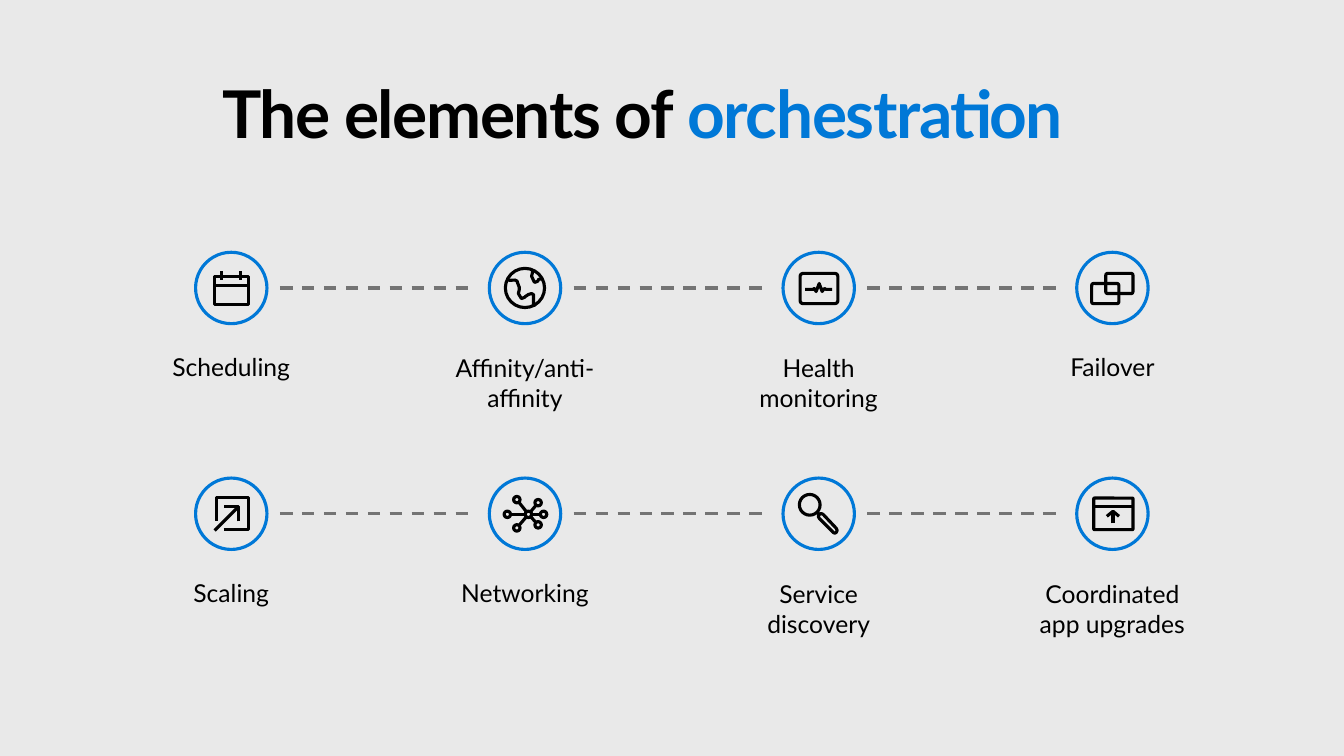
from dataclasses import dataclass
from math import hypot

from lxml.etree import SubElement
from pptx import Presentation
from pptx.dml.color import RGBColor
from pptx.enum.dml import MSO_LINE
from pptx.enum.shapes import MSO_CONNECTOR, MSO_SHAPE
from pptx.enum.text import MSO_ANCHOR, MSO_AUTO_SIZE, PP_ALIGN
from pptx.oxml.ns import qn
from pptx.util import Pt

BLACK = RGBColor(0x00, 0x00, 0x00)
BLUE = RGBColor(0x00, 0x78, 0xD7)
GREY = RGBColor(0x74, 0x74, 0x74)
PALE = RGBColor(0xE9, 0xE9, 0xE9)
FONT = "Lato"
LINE_WIDTH = 2.25
FIRST_X, COLUMN_PITCH = 165.2, 209.8
FIRST_Y, ROW_PITCH = 205.7, 161.3
DISC_SIZE = 51
LINK_GAP = 34.8
LABEL_DROP = 35

Point = tuple[float, float]


@dataclass(frozen=True)
class Outline:
    kind: MSO_SHAPE
    left: float
    top: float
    width: float
    height: float
    rounding: float = 0


@dataclass(frozen=True)
class Stroke:
    points: tuple[Point, ...]
    closed: bool = False


@dataclass(frozen=True)
class Element:
    label: str
    icon: tuple[Outline | Stroke, ...]
    label_width: float = 127.4
    label_lines: int = 1


def ring(x: float, y: float, radius: float) -> Outline:
    return Outline(MSO_SHAPE.OVAL, x - radius, y - radius, 2 * radius, 2 * radius)


def network_icon(radius: float = 2.3) -> tuple[Outline | Stroke, ...]:
    hub_x, hub_y = 2.5, 0.4
    nodes = ((13.3, 0.4), (-12.6, 0.4), (9.4, 7.9),
             (-5.8, 10.1), (9.4, -7.9), (-5.8, -10.1))
    marks = [ring(hub_x, hub_y, radius)]
    for x, y in nodes:
        reach = hypot(x - hub_x, y - hub_y)
        inset_x = (x - hub_x) * radius / reach
        inset_y = (y - hub_y) * radius / reach
        marks.append(ring(x, y, radius))
        marks.append(Stroke(((hub_x + inset_x, hub_y + inset_y),
                             (x - inset_x, y - inset_y))))
    return tuple(marks)


CALENDAR = (
    Outline(MSO_SHAPE.RECTANGLE, -12, -8.3, 24, 20.2),
    Stroke(((-6.8, -11.9), (-6.8, -5.4))),
    Stroke(((6.8, -11.9), (6.8, -5.4))),
    Stroke(((-12, -1.8), (12, -1.8))),
)
GLOBE = (
    ring(0, 0, 14),
    Stroke(((7.6, 12.6), (6.1, 11.9), (6.1, 7.6), (6.1, 4.7), (4.7, 4), (2.5, 4.7),
            (0.4, 6.1), (-0.4, 6.8), (-2.5, 7.6), (-4.7, 4), (-4, 1.1), (-4, -0.4),
            (-5.4, -4), (-5.4, -4.7), (-7, -5.6), (-11.2, -5.4), (-11.9, -6.1))),
    Stroke(((12.6, -6.8), (9.7, -6.1), (9, -4.7), (6.8, -4),
            (4.7, -8.3), (5.4, -11.2), (5.4, -12.6))),
)
MONITOR = (
    Outline(MSO_SHAPE.ROUNDED_RECTANGLE, -13.3, -10.4, 27, 21.6, 0.1),
    Stroke(((-9.7, 1), (-4, 1), (-3.2, 0.4), (-1.8, 2.5), (0.4, -3.2),
            (2.5, 2.5), (4, 0.4), (5.4, 1), (9.7, 1))),
)
WINDOWS = (
    Outline(MSO_SHAPE.ROUNDED_RECTANGLE, -4.7, -10.4, 19.4, 14.4, 0.09),
    Outline(MSO_SHAPE.ROUNDED_RECTANGLE, -14.8, -3.2, 19.4, 14.4, 0.09),
)
SCALE_ARROW = (
    Stroke(((5.4, 5.4), (5.4, -5.4), (-5.4, -5.4))),
    Stroke(((-5.4, 11.2), (12.6, 11.2), (12.6, -11.9), (-10.4, -11.9), (-10.4, 5.4))),
    Stroke(((5.4, -5.4), (-11.9, 11.9))),
)
MAGNIFIER = (
    ring(-6.4, -6.4, 7.4),
    Stroke(((0.4, 3.2), (10.4, 13.3), (11.5, 13.9), (12.6, 13.3), (13.2, 11.9),
            (12.6, 10.4), (3.2, 0.4), (1.8, -0.2), (0.4, 0.4), (-0.3, 1.8)), True),
    Stroke(((-1.1, -1.1), (0.4, 0.4))),
)
UPGRADE = (
    Outline(MSO_SHAPE.ROUNDED_RECTANGLE, -13.3, -11.2, 28, 22.5, 0.02),
    Stroke(((-13.3, -5.4), (14.7, -5.4))),
    Stroke(((0.4, 6.8), (0.4, -1.8))),
    Stroke(((-4, 1.8), (0.4, -1.8), (4.7, 1.8))),
)
ROWS = (
    (Element("Scheduling", CALENDAR),
     Element("Affinity/anti-affinity", GLOBE, 158.4, 2),
     Element("Health monitoring", MONITOR, label_lines=2),
     Element("Failover", WINDOWS)),
    (Element("Scaling", SCALE_ARROW),
     Element("Networking", network_icon(), 158.4),
     Element("Service discovery", MAGNIFIER, label_lines=2),
     Element("Coordinated app upgrades", UPGRADE, 142.6, 2)),
)


def add_span(para, text: str, *, size: float, color: RGBColor = BLACK,
             bold: bool = False, spacing: float = 0) -> None:
    span = para.add_run()
    span.text = text
    span.font.name = FONT
    span.font.size = Pt(size)
    span.font.bold = bold
    span.font.color.rgb = color
    if spacing:
        span._r.get_or_add_rPr().set("spc", str(round(spacing * 100)))


def set_insets(frame, inset: float) -> None:
    frame.margin_left = frame.margin_right = Pt(inset)
    frame.margin_top = frame.margin_bottom = Pt(inset)
    frame.word_wrap = True
    frame.vertical_anchor = MSO_ANCHOR.TOP


def add_title(page) -> None:
    title = page.shapes.title
    title.left, title.top, title.width, title.height = Pt(0), Pt(58.3), Pt(918), Pt(70.6)
    frame = title.text_frame
    set_insets(frame, 0)
    frame.auto_size = MSO_AUTO_SIZE.NONE
    para = frame.paragraphs[0]
    para.alignment = PP_ALIGN.CENTER
    para.line_spacing = 0.9
    for text, color in (("The elements of ", BLACK), ("orchestration", BLUE)):
        add_span(para, text, size=47, color=color, bold=True, spacing=-1)


def add_outline(page, outline: Outline, x: float, y: float, color: RGBColor = BLACK):
    shape = page.shapes.add_shape(outline.kind, Pt(x + outline.left), Pt(y + outline.top),
                                  Pt(outline.width), Pt(outline.height))
    if outline.rounding:
        shape.adjustments[0] = outline.rounding
    return style_outline(shape, color)


def style_outline(shape, color: RGBColor = BLACK):
    shape.shadow.inherit = False
    shape.fill.background()
    shape.line.color.rgb = color
    shape.line.width = Pt(LINE_WIDTH)
    return shape


def add_line(page, start: Point, end: Point, color: RGBColor = BLACK):
    line = page.shapes.add_connector(MSO_CONNECTOR.STRAIGHT, Pt(start[0]), Pt(start[1]),
                                     Pt(end[0]), Pt(end[1]))
    line.line.color.rgb = color
    line.line.width = Pt(LINE_WIDTH)
    SubElement(line._element.spPr, qn("a:effectLst"))
    return line


def add_stroke(page, stroke: Stroke, x: float, y: float) -> None:
    points = [(x + dx, y + dy) for dx, dy in stroke.points]
    if len(points) == 2:
        add_line(page, *points)
        return
    corners = [(Pt(px), Pt(py)) for px, py in points]
    builder = page.shapes.build_freeform(*corners[0])
    builder.add_line_segments(corners[1:], close=stroke.closed)
    style_outline(builder.convert_to_shape())


def add_element(page, element: Element, x: float, y: float) -> None:
    disc = add_outline(page, ring(0, 0, DISC_SIZE / 2), x, y, BLUE)
    disc.fill.solid()
    disc.fill.fore_color.rgb = PALE
    for mark in element.icon:
        draw = add_outline if isinstance(mark, Outline) else add_stroke
        draw(page, mark, x, y)
    box = page.shapes.add_textbox(Pt(x - element.label_width / 2), Pt(y + LABEL_DROP),
                                  Pt(element.label_width), Pt(23 + 21.2 * element.label_lines))
    set_insets(box.text_frame, 11.5)
    box.text_frame.auto_size = MSO_AUTO_SIZE.SHAPE_TO_FIT_TEXT
    para = box.text_frame.paragraphs[0]
    para.alignment = PP_ALIGN.CENTER
    add_span(para, element.label, size=17.6)


def main() -> None:
    deck = Presentation()
    deck.slide_width, deck.slide_height = Pt(960), Pt(540)
    page = deck.slides.add_slide(deck.slide_layouts[5])
    page.background.fill.solid()
    page.background.fill.fore_color.rgb = PALE
    add_title(page)
    for row, elements in enumerate(ROWS):
        y = FIRST_Y + row * ROW_PITCH
        for column, element in enumerate(elements):
            x = FIRST_X + column * COLUMN_PITCH
            add_element(page, element, x, y)
            if column:
                link = add_line(page, (x - COLUMN_PITCH + LINK_GAP, y), (x - LINK_GAP, y), GREY)
                link.line.dash_style = MSO_LINE.DASH
    deck.save("out.pptx")


if __name__ == "__main__":
    main()
